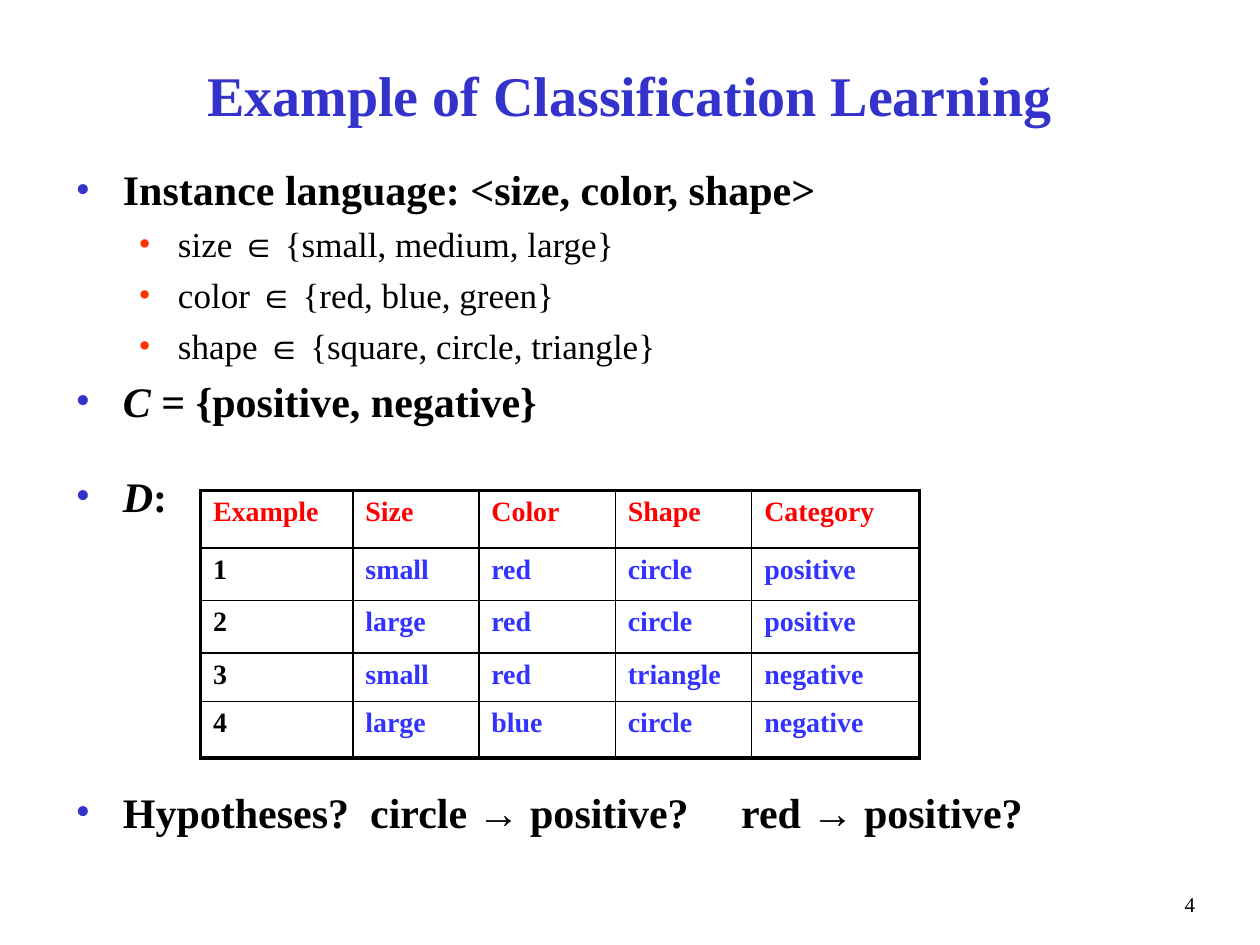
from lxml.etree import SubElement
from pptx import Presentation
from pptx.dml.color import RGBColor as Color
from pptx.enum.text import MSO_ANCHOR as Anchor, MSO_AUTO_SIZE as AutoSize, PP_ALIGN as Align
from pptx.oxml.ns import qn
from pptx.util import Inches, Pt

COLUMNS, ROWS = 120, 90  # slide grid of square units
UNIT = Inches(10) // COLUMNS
BLACK, INDIGO, BLUE, RED, ORANGE = "000000", "3333CC", "3333FF", "FF0000", "FF3300"

TITLE_BOX = (9, 4, 102, 10)
BODY_BOX = (6, 15, 108, 67.5)
TABLE_BOX = (19.1, 46.7, 68.5, 25.5)
NUMBER_BOX = (90, 84.3, 25, 3)

# Level: bullet colour, text size, left margin and hanging indent in units
LEVELS = [(INDIGO, 24, 4.5, 4.5), (ORANGE, 20, 9.75, 3.75)]
# Level, italic lead, text, points before
BULLETS = [
    (0, "", "Instance language: <size, color, shape>", 5),
    (1, "", "size ∈ {small, medium, large}", 5),
    (1, "", "color ∈ {red, blue, green}", 5),
    (1, "", "shape ∈ {square, circle, triangle}", 5),
    (0, "C ", "= {positive, negative}", 5),
    (0, "D", ":", 25.5),
    (0, "", "Hypotheses?\u2002circle → positive?\u2003 red → positive?", 152),
]
EXAMPLES = [
    ("Example", "Size", "Color", "Shape", "Category"),
    ("1", "small", "red", "circle", "positive"),
    ("2", "large", "red", "circle", "positive"),
    ("3", "small", "red", "triangle", "negative"),
    ("4", "large", "blue", "circle", "negative"),
]
COLUMN_SHARES = [14.5, 12, 13, 13, 16]
ROW_SHARES = [5.5, 5, 5, 4.6, 5.4]


def units(value):
    """Turn grid units into a length."""
    return int(value * UNIT)


def place(shape, box):
    """Move a shape to a box given in grid units."""
    shape.left, shape.top, shape.width, shape.height = map(units, box)


def write(paragraph, text, size=24, color=BLACK, bold=False, italic=False):
    """Add one formatted run to a paragraph."""
    run = paragraph.add_run()
    run.text = text
    font = run.font
    font.name, font.size, font.bold, font.italic = "Times New Roman", Pt(size), bold, italic
    font.color.rgb = Color.from_string(color)


def set_bullet(paragraph, color, margin, hanging):
    """Give a paragraph a coloured round bullet and a hanging indent."""
    properties = paragraph._p.get_or_add_pPr()
    properties.set("marL", str(units(margin)))
    properties.set("indent", str(-units(hanging)))
    bullet_color = SubElement(properties, qn("a:buClr"))
    SubElement(bullet_color, qn("a:srgbClr"), val=color)
    SubElement(properties, qn("a:buFont"), typeface="Times New Roman")
    SubElement(properties, qn("a:buChar"), char="•")


def set_borders(cell, widths):
    """Draw the left, right, top and bottom borders of a cell."""
    properties = cell._tc.get_or_add_tcPr()
    for side, width in zip("LRTB", widths):
        line = SubElement(properties, qn(f"a:ln{side}"), w=str(Pt(width)))
        fill = SubElement(line, qn("a:solidFill"))
        SubElement(fill, qn("a:srgbClr"), val=BLACK)


def fill_title(title, box):
    """Place and write the slide title."""
    place(title, box)
    frame = title.text_frame
    frame.auto_size, frame.vertical_anchor = AutoSize.NONE, Anchor.MIDDLE
    paragraph = frame.paragraphs[0]
    paragraph.alignment = Align.CENTER
    write(paragraph, "Example of Classification Learning", size=32, color=INDIGO, bold=True)


def fill_body(body, box):
    """Place the body and write its two-level list."""
    place(body, box)
    frame = body.text_frame
    frame.auto_size, frame.vertical_anchor = AutoSize.NONE, Anchor.TOP
    for index, (level, lead, text, before) in enumerate(BULLETS):
        paragraph = frame.add_paragraph() if index else frame.paragraphs[0]
        color, size, margin, hanging = LEVELS[level]
        paragraph.level, paragraph.space_before = level, Pt(before)
        set_bullet(paragraph, color, margin, hanging)
        if lead:
            write(paragraph, lead, size=size, bold=True, italic=True)
        write(paragraph, text, size=size, bold=level == 0)


def add_examples(slide, box):
    """Add the table of training examples, with a heavy outer frame."""
    last_row, last_column = len(ROW_SHARES) - 1, len(COLUMN_SHARES) - 1
    table = slide.shapes.add_table(last_row + 1, last_column + 1, *map(units, box)).table
    table.first_row = table.horz_banding = False
    for column, share in zip(table.columns, COLUMN_SHARES):
        column.width = units(box[2] * share / sum(COLUMN_SHARES))
    for row, share in zip(table.rows, ROW_SHARES):
        row.height = units(box[3] * share / sum(ROW_SHARES))
    for r, texts in enumerate(EXAMPLES):
        for c, text in enumerate(texts):
            cell = table.cell(r, c)
            color = RED if r == 0 else BLACK if c == 0 else BLUE
            write(cell.text_frame.paragraphs[0], text, size=16, color=color, bold=True)
            outer = (c == 0, c == last_column, r == 0, r == last_row)
            set_borders(cell, [2.25 if edge else 1 for edge in outer])
            cell.fill.background()


def add_number(slide, box):
    """Add the page number at the lower right."""
    frame = slide.shapes.add_textbox(*map(units, box)).text_frame
    frame.word_wrap = True
    paragraph = frame.paragraphs[0]
    paragraph.alignment = Align.RIGHT
    write(paragraph, "4", size=12)


def main():
    """Build and save the slide."""
    presentation = Presentation()
    presentation.slide_width, presentation.slide_height = units(COLUMNS), units(ROWS)
    slide = presentation.slides.add_slide(presentation.slide_layouts[1])
    fill_title(slide.shapes.title, TITLE_BOX)
    fill_body(slide.placeholders[1], BODY_BOX)
    add_examples(slide, TABLE_BOX)
    add_number(slide, NUMBER_BOX)
    presentation.save("out.pptx")


main()
